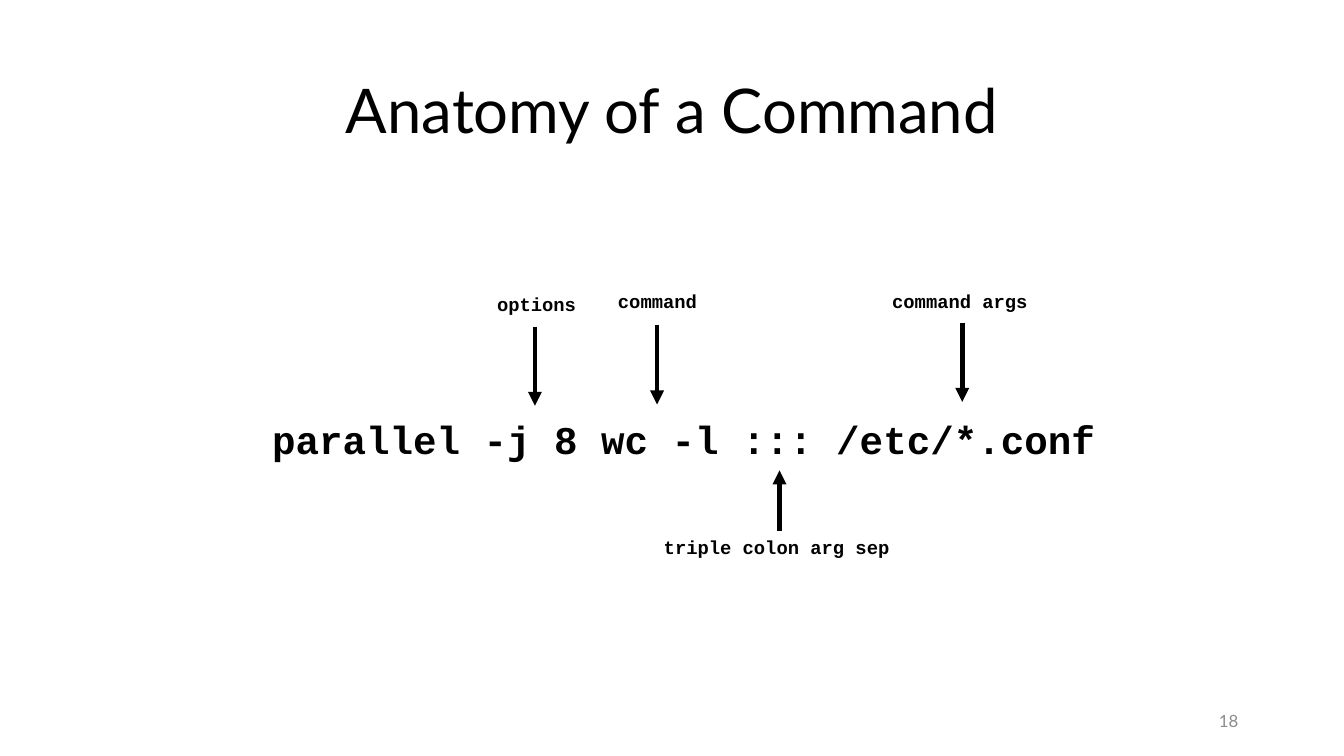
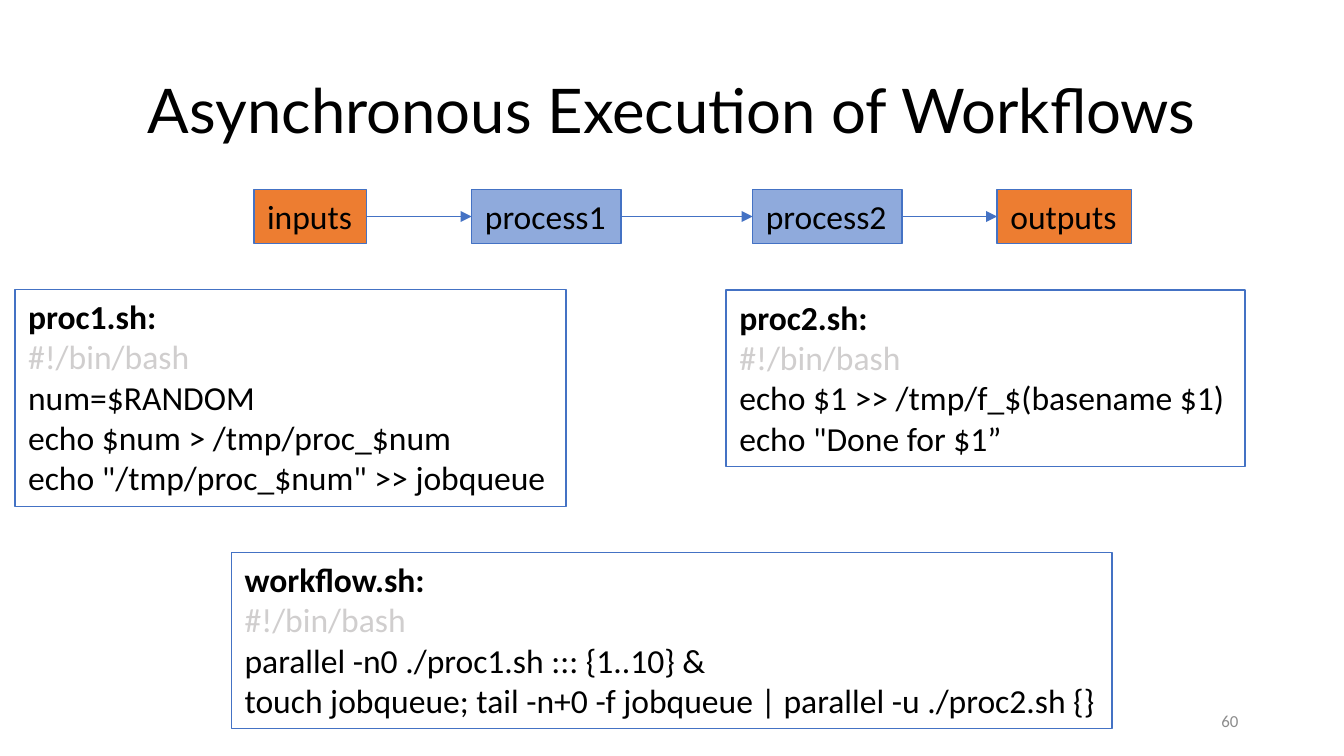
from dataclasses import dataclass

import pptx
import pptx.dml.color
import pptx.enum.shapes
import pptx.enum.text
import pptx.oxml
import pptx.oxml.ns
import pptx.slide
import pptx.util

Pt = pptx.util.Pt
Align = pptx.enum.text.PP_ALIGN
Anchor = pptx.enum.text.MSO_ANCHOR

# Shared colours and fonts
BLACK = "000000"
PAGE_GREY = "8C8C8C"
COMMENT_GREY = "D0CECE"
BLUE = "4472C4"
LIGHT_BLUE = "8FAADC"
ORANGE = "ED7D31"
TITLE_FONT = "Lato"
BODY_FONT = "Calibri"
CODE_FONT = "Courier New"


@dataclass(frozen=True)
class Frame:
    left: float
    top: float
    width: float
    height: float

    @property
    def right(self) -> float:
        return self.left + self.width

    @property
    def middle(self) -> float:
        return self.top + self.height / 2


@dataclass(frozen=True)
class Line:
    text: str
    bold: bool = False
    color: str = BLACK


@dataclass(frozen=True)
class Callout:
    text: str
    frame: Frame
    arrow_x: float
    arrow_start: float
    arrow_end: float


@dataclass(frozen=True)
class Stage:
    text: str
    left: float
    width: float
    fill: str


@dataclass(frozen=True)
class Script:
    name: str
    frame: Frame
    commands: tuple[str, ...]


TITLE = Frame(49.5, 21.6, 621, 78.5)
BODY = Frame(49.5, 108, 621, 257)
PAGE_NUMBER = Frame(508.5, 375.2, 162, 21.6)

CALLOUTS = (
    Callout("options", Frame(259.2, 153.4, 57.6, 19.4), 286.6, 175, 217.4),
    Callout("command", Frame(324, 151.9, 59.8, 19.4), 352, 174.2, 216.7),
    Callout("command args", Frame(470.9, 151.9, 88.6, 19.4), 515.5, 172.8, 215.3),
    Callout("triple colon arg sep", Frame(348.5, 283.7, 138.2, 19.4), 417.6, 284.4, 252),
)

STAGE_TOP, STAGE_HEIGHT = 101.5, 29
STAGES = (
    Stage("inputs", 136, 60.5, ORANGE),
    Stage("process1", 252.7, 80, LIGHT_BLUE),
    Stage("process2", 403.2, 80, LIGHT_BLUE),
    Stage("outputs", 534.2, 72, ORANGE),
)

SCRIPTS = (
    Script("proc1.sh:", Frame(8, 155, 295.2, 116.5),
           ("num=$RANDOM",
            "echo $num > /tmp/proc_$num",
            'echo "/tmp/proc_$num" >> jobqueue')),
    Script("proc2.sh:", Frame(389, 155.3, 278, 94.5),
           ("echo $1 >> /tmp/f_$(basename $1)",
            'echo "Done for $1”')),
    Script("workflow.sh:", Frame(124, 296, 471.8, 94.5),
           ("parallel -n0 ./proc1.sh ::: {1..10} &",
            "touch jobqueue; tail -n+0 -f jobqueue | parallel -u ./proc2.sh {}")),
)


def rgb(color: str) -> pptx.dml.color.RGBColor:
    return pptx.dml.color.RGBColor.from_string(color)


def add_text(page: pptx.slide.Slide, frame: Frame, *lines: Line,
             size: float = 18, font: str = BODY_FONT, align: Align = Align.LEFT,
             anchor: Anchor = Anchor.TOP, spacing: float = 1.0, before: float = 0,
             wrap: bool = False, fill: str | None = None,
             outline: str | None = None) -> None:
    """Add a text box with one paragraph per line."""
    box = page.shapes.add_textbox(Pt(frame.left), Pt(frame.top),
                                  Pt(frame.width), Pt(frame.height))
    if fill:
        box.fill.solid()
        box.fill.fore_color.rgb = rgb(fill)
    if outline:
        box.line.color.rgb = rgb(outline)
        box.line.width = Pt(0.75)
    text_frame = box.text_frame
    text_frame.word_wrap = wrap
    text_frame.vertical_anchor = anchor
    sizing = pptx.enum.text.MSO_AUTO_SIZE
    text_frame.auto_size = sizing.NONE if wrap else sizing.SHAPE_TO_FIT_TEXT
    for index, line in enumerate(lines):
        para = text_frame.add_paragraph() if index else text_frame.paragraphs[0]
        para.alignment = align
        para.line_spacing = spacing
        para.space_before = Pt(before)
        span = para.add_run()
        span.text = line.text
        span.font.name = font
        span.font.size = Pt(size)
        span.font.bold = line.bold
        span.font.color.rgb = rgb(line.color)


def add_arrow(page: pptx.slide.Slide, start: tuple[float, float],
              end: tuple[float, float], color: str, width: float) -> None:
    """Add a straight arrow with its head at the end."""
    arrow = page.shapes.add_connector(
        pptx.enum.shapes.MSO_CONNECTOR.STRAIGHT,
        Pt(start[0]), Pt(start[1]), Pt(end[0]), Pt(end[1]))
    arrow.line.color.rgb = rgb(color)
    arrow.line.width = Pt(width)
    properties = arrow.element.spPr
    head = pptx.oxml.parse_xml(
        f'<a:tailEnd {pptx.oxml.ns.nsdecls("a")} type="triangle"/>')
    properties.find(pptx.oxml.ns.qn("a:ln")).append(head)
    properties.append(pptx.oxml.parse_xml(
        f'<a:effectLst {pptx.oxml.ns.nsdecls("a")}/>'))


def add_page(deck, title: str, number: str, number_font: str) -> pptx.slide.Slide:
    """Add a page with the shared title and page number."""
    page = deck.slides.add_slide(deck.slide_layouts[6])
    add_text(page, TITLE, Line(title), size=33, font=TITLE_FONT,
             align=Align.CENTER, anchor=Anchor.MIDDLE, spacing=0.9, wrap=True)
    add_text(page, PAGE_NUMBER, Line(number, color=PAGE_GREY), size=9,
             font=number_font, align=Align.RIGHT, anchor=Anchor.MIDDLE, wrap=True)
    return page


def add_anatomy_page(deck) -> None:
    page = add_page(deck, "Anatomy of a Command", "18", TITLE_FONT)
    add_text(page, BODY, Line(" parallel -j 8 wc -l ::: /etc/*.conf", bold=True),
             size=21, font=CODE_FONT, align=Align.CENTER, anchor=Anchor.MIDDLE,
             spacing=0.9, before=7.5, wrap=True)
    for callout in CALLOUTS:
        add_arrow(page, (callout.arrow_x, callout.arrow_start),
                  (callout.arrow_x, callout.arrow_end), BLACK, 2.5)
        add_text(page, callout.frame, Line(callout.text, bold=True),
                 size=10.1, font=CODE_FONT)


def add_workflow_page(deck) -> None:
    page = add_page(deck, "Asynchronous Execution of Workflows", "60", BODY_FONT)

    # Pipeline of stages, each joined to the next
    frames = [Frame(stage.left, STAGE_TOP, stage.width, STAGE_HEIGHT)
              for stage in STAGES]
    for stage, frame in zip(STAGES, frames):
        add_text(page, frame, Line(stage.text), fill=stage.fill, outline=BLUE)
    for before, after in zip(frames, frames[1:]):
        add_arrow(page, (before.right, before.middle),
                  (after.left, after.middle), BLUE, 0.5)

    # Script listings
    for script in SCRIPTS:
        add_text(page, script.frame, Line(script.name, bold=True),
                 Line("#!/bin/bash", color=COMMENT_GREY),
                 *map(Line, script.commands), outline=BLUE)


def main() -> None:
    deck = pptx.Presentation()
    deck.slide_width, deck.slide_height = Pt(720), Pt(405)
    add_anatomy_page(deck)
    add_workflow_page(deck)
    deck.save("out.pptx")


if __name__ == "__main__":
    main()
